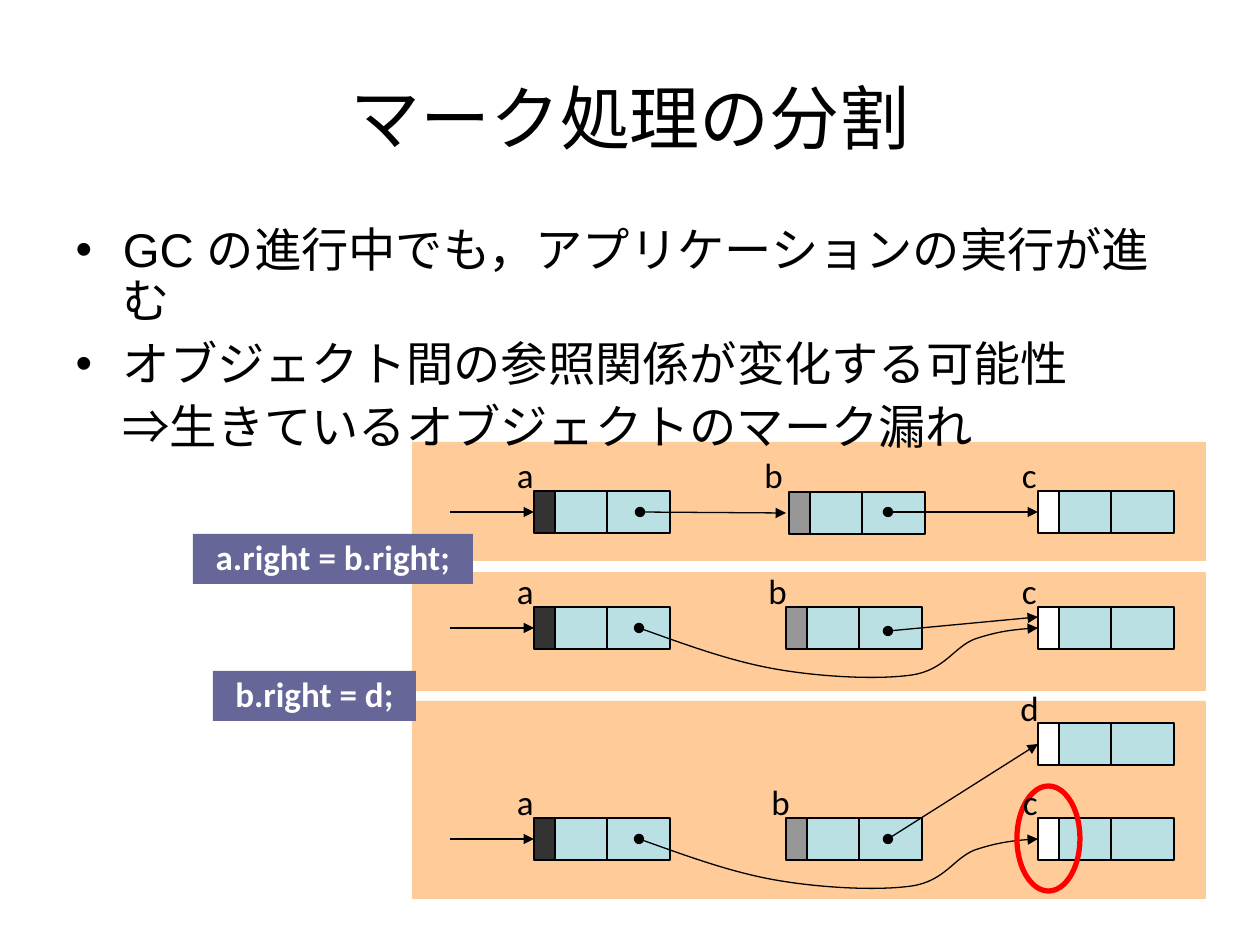
from lxml import etree
from pptx import Presentation
from pptx.dml.color import RGBColor
from pptx.enum.shapes import MSO_CONNECTOR, MSO_SHAPE
from pptx.enum.text import MSO_ANCHOR, MSO_AUTO_SIZE, PP_ALIGN
from pptx.oxml.ns import qn
from pptx.util import Emu, Pt

PX = 914400 / 126
RECTANGLE, OVAL = MSO_SHAPE.RECTANGLE, MSO_SHAPE.OVAL
STRAIGHT = MSO_CONNECTOR.STRAIGHT
LEFT, CENTER, RIGHT = PP_ALIGN.LEFT, PP_ALIGN.CENTER, PP_ALIGN.RIGHT
MIDDLE = MSO_ANCHOR.MIDDLE
FIT_SHAPE, NO_FIT = MSO_AUTO_SIZE.SHAPE_TO_FIT_TEXT, MSO_AUTO_SIZE.NONE
LEFT_SIDE = 1
COLORS = {"text": "000000", "panel": "FFCC99", "cell": "BBE0E3", "code": "666699",
          "black": "333333", "gray": "969696", "white": "FFFFFF", "alert": "FF0000"}
CELL_WIDTH, CELL_HEIGHT, MARK_WIDTH = 63, 42, 21
A_LEFT, B_LEFT, C_LEFT = 534, 786, 1038
LABEL_ROWS = [(447, {"a": 504, "b": 752, "c": 1007}),
              (563, {"a": 504, "b": 756, "c": 1007}),
              (680, {"d": 1008}),
              (774, {"a": 504, "b": 759, "c": 1008})]
CURVE = [(45, 16), (91, 33), (136, 41), (181, 49), (239, 52), (273, 47),
         (306, 42), (315, 19), (336, 11), (357, 4), (378, 1), (399, 0)]


def px(value):
    return Emu(round(value * PX))


def rgb(name):
    return RGBColor.from_string(COLORS[name])


def style_text(para, size, font, color="text", bold=False, align=LEFT):
    para.alignment = align
    for span in para.runs:
        span.font.size = Pt(size)
        span.font.name = font
        span.font.bold = bold
        span.font.color.rgb = rgb(color)


def place(shape, *bounds):
    shape.left, shape.top, shape.width, shape.height = map(px, bounds)


def add_box(page, bounds, fill=None, line=None, weight=0.75, kind=RECTANGLE):
    box = page.shapes.add_shape(kind, *map(px, bounds))
    box.shadow.inherit = False
    if fill:
        box.fill.solid()
        box.fill.fore_color.rgb = rgb(fill)
    else:
        box.fill.background()
    if line:
        box.line.color.rgb = rgb(line)
        box.line.width = Pt(weight)
    else:
        box.line.fill.background()
    return box


def add_label(page, text, left, top):
    box = page.shapes.add_textbox(*map(px, (left, top, 42, 55)))
    frame = box.text_frame
    frame.text = text
    frame.word_wrap = False
    frame.auto_size = FIT_SHAPE
    style_text(frame.paragraphs[0], 20, "Calibri", align=RIGHT)


def add_code(page, text, bounds):
    frame = add_box(page, bounds, "code").text_frame
    frame.text = text
    frame.word_wrap = False
    frame.auto_size = NO_FIT
    frame.vertical_anchor = MIDDLE
    frame.margin_left = frame.margin_right = 0
    para = frame.paragraphs[0]
    para.line_spacing = 0.9
    style_text(para, 20, "Calibri", "white", True, CENTER)


def add_object(page, color, left, top):
    for offset in (10, 10 + CELL_WIDTH):
        add_box(page, (left + offset, top, CELL_WIDTH, CELL_HEIGHT), "cell", "text")
    return add_box(page, (left, top, MARK_WIDTH, CELL_HEIGHT), color, "text")


def style_arrow(arrow, dotted):
    arrow.line.color.rgb = rgb("text")
    arrow.line.width = Pt(0.75)
    line = arrow._element.spPr.get_or_add_ln()
    if dotted:
        etree.SubElement(line, qn("a:headEnd"), type="oval")
    etree.SubElement(line, qn("a:tailEnd"), type="triangle")


def add_arrow(page, start, end, target=None, dotted=True):
    arrow = page.shapes.add_connector(STRAIGHT, *map(px, start + end))
    style_arrow(arrow, dotted)
    etree.SubElement(arrow._element.spPr, qn("a:effectLst"))
    if target is not None:
        arrow.end_connect(target, LEFT_SIDE)


def add_curve(page, left, top):
    builder = page.shapes.build_freeform(left, top, scale=PX)
    builder.add_line_segments([(left + x, top + y) for x, y in CURVE], close=False)
    curve = builder.convert_to_shape()
    outline = curve._element.find(".//" + qn("a:path"))
    segments = outline.findall(qn("a:lnTo"))
    for first in range(0, len(segments), 3):
        bezier = etree.SubElement(outline, qn("a:cubicBezTo"))
        for segment in segments[first:first + 3]:
            bezier.append(segment[0])
            outline.remove(segment)
    curve.fill.background()
    curve.shadow.inherit = False
    style_arrow(curve, True)


def fill_title(page, text):
    title = page.shapes.title
    place(title, 63, 38, 1134, 157)
    frame = title.text_frame
    frame.text = text
    frame.auto_size = NO_FIT
    frame.vertical_anchor = MIDDLE
    style_text(frame.paragraphs[0], 40, "Arial", align=CENTER)


def fill_body(page, lines):
    body = page.placeholders[1]
    place(body, 63, 220, 1134, 242)
    frame = body.text_frame
    frame.text = "\n".join(lines)
    frame.auto_size = NO_FIT
    for para in frame.paragraphs:
        para.line_spacing = 0.9
        para.space_before = Pt(6.8)
        style_text(para, 27, "Arial")
    conclusion = frame.paragraphs[-1]._p.get_or_add_pPr()
    conclusion.set("marL", str(px(47)))
    conclusion.set("indent", "0")
    etree.SubElement(conclusion, qn("a:buNone"))


def add_panels(page):
    for position, (top, height) in enumerate([(442, 119), (572, 119), (701, 198)]):
        panel = add_box(page, (412, top, 794, height), "panel")
        page.shapes._spTree.insert(2 + position, panel._element)


def add_chain(page, top, b_left, b_top):
    middle = top + CELL_HEIGHT // 2
    a_mark = add_object(page, "black", A_LEFT, top)
    add_object(page, "gray", b_left, b_top)
    c_mark = add_object(page, "white", C_LEFT, top)
    add_arrow(page, (450, middle), (A_LEFT, middle), a_mark, dotted=False)
    return c_mark


def main():
    deck = Presentation()
    deck.slide_width, deck.slide_height = px(1260), px(945)
    page = deck.slides.add_slide(deck.slide_layouts[1])
    add_panels(page)
    fill_title(page, "マーク処理の分割")
    fill_body(page, ["GC の進行中でも，アプリケーションの実行が進む",
                     "オブジェクト間の参照関係が変化する可能性",
                     "⇒生きているオブジェクトのマーク漏れ"])

    c_mark = add_chain(page, 491, 789, 492)
    add_arrow(page, (640, 512), (B_LEFT, 513))
    add_arrow(page, (888, 512), (C_LEFT, 512), c_mark)

    add_chain(page, 607, B_LEFT, 607)
    add_arrow(page, (888, 631), (C_LEFT, 617))
    add_curve(page, 639, 628)

    add_chain(page, 818, B_LEFT, 818)
    d_mark = add_object(page, "white", C_LEFT, 723)
    add_arrow(page, (888, 839), (C_LEFT, 744), d_mark)
    add_curve(page, 639, 839)
    add_box(page, (1017, 786, 63, 105), line="alert", weight=3, kind=OVAL)

    for top, labels in LABEL_ROWS:
        for name, left in labels.items():
            add_label(page, name, left, top)
    add_code(page, "a.right = b.right;", (193, 534, 280, 50))
    add_code(page, "b.right = d;", (213, 671, 203, 50))
    deck.save("out.pptx")


if __name__ == "__main__":
    main()
